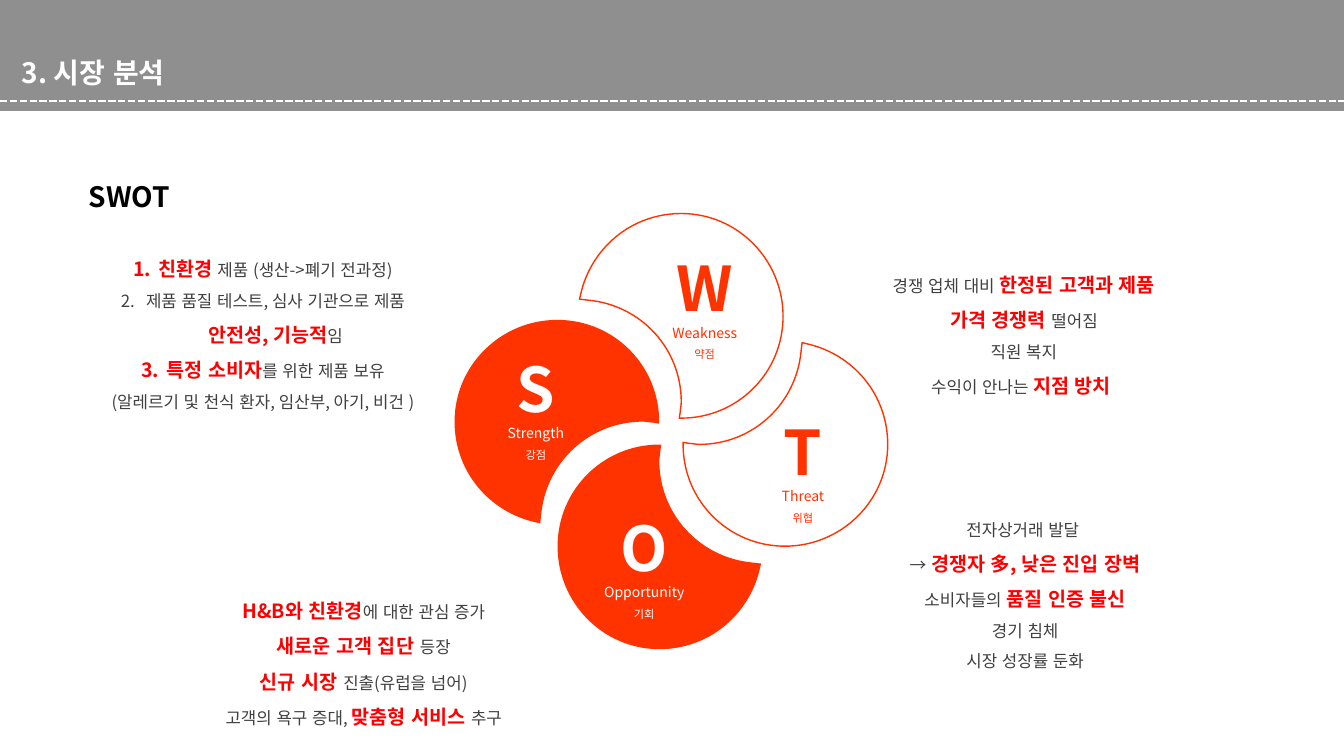
from lxml import etree
from pptx import Presentation
from pptx.dml.color import RGBColor
from pptx.enum.dml import MSO_LINE
from pptx.enum.lang import MSO_LANGUAGE_ID
from pptx.enum.shapes import MSO_CONNECTOR, MSO_SHAPE
from pptx.enum.text import MSO_AUTO_SIZE, PP_ALIGN
from pptx.oxml.ns import qn
from pptx.util import Inches, Pt

RECTANGLE = MSO_SHAPE.RECTANGLE
STRAIGHT = MSO_CONNECTOR.STRAIGHT
DASH = MSO_LINE.SQUARE_DOT
GROW = MSO_AUTO_SIZE.SHAPE_TO_FIT_TEXT
CENTER, LEFT = PP_ALIGN.CENTER, PP_ALIGN.LEFT
KOREAN = MSO_LANGUAGE_ID.KOREAN

FONT = "Noto Sans CJK KR"
WHITE, BLACK, GRAY = "FFFFFF", "000000", "8F8F8F"
ORANGE, RED, DARK = "FF3300", "FF0000", "404040"
COLUMNS, ROWS = 16, 9
CELL = Inches(7.5) / ROWS
LABEL_SIZE = (1.58, 1.27)
PETAL_UNIT = Inches(0.01)
PETAL_SIZE = (203, 202)
PETAL_START = (102, 0)
PETAL_STEPS = [
    [(158, 0), (203, 45), (203, 101)],
    [(203, 103)],
    [(197, 102)],
    [(194, 102), (190, 101), (187, 101)],
    [(134, 101), (91, 141), (86, 193)],
    [(85, 202)],
    [(81, 201)],
    [(35, 191), (0, 151), (0, 101)],
    [(0, 45), (46, 0), PETAL_START],
]

QUADRANTS = [
    dict(center=(7.85, 6.51), turn=270, filled=True, label_shift=(-0.18, -0.5),
         label=("O", "Opportunity", "기회"), notes_box=(2.14, 6.93, 4.38, 1.76),
         notes=["*H&B와 친환경*에 대한 관심 증가", "*새로운 고객 집단 *등장",
                "*신규 시장 *진출(유럽을 넘어)", "고객의 욕구 증대, *맞춤형 서비스 *추구"]),
    dict(center=(6.63, 5.02), turn=0, filled=True, label_shift=(-0.25, -0.9),
         label=("S", "Strength", "강점"), notes_box=(1.06, 2.86, 4.14, 2.08), numbered=3,
         notes=["*친환경* 제품 (생산->폐기 전과정)",
                "제품 품질 테스트, 심사 기관으로 제품 *안전성, 기능적*임",
                "*특정 소비자*를 위한 제품 보유",
                "(알레르기 및 천식 환자, 임산부, 아기, 비건 )"]),
    dict(center=(8.11, 3.76), turn=90, filled=False, label_shift=(0.28, -0.84),
         label=("W", "Weakness", "약점"), notes_box=(9.85, 3.05, 4.68, 1.7),
         notes=["경쟁 업체 대비 *한정된 고객과 제품*", "*가격 경쟁력 *떨어짐",
                "직원 복지", "수익이 안나는 *지점 방치 *"]),
    dict(center=(9.35, 5.29), turn=180, filled=False, label_shift=(0.21, -0.42),
         label=("T", "Threat", "위협"), notes_box=(10.28, 6.01, 3.85, 2.38),
         notes=["전자상거래 발달 ", "→ *경쟁자 多, 낮은 진입 장벽*",
                "소비자들의 *품질 인증 불신*", "경기 침체", "시장 성장률 둔화"]),
]


def emu(cells):
    return round(cells * CELL)


def paint(color_format, color):
    color_format.rgb = RGBColor.from_string(color)


def fill_with(target, color):
    target.fill.solid()
    paint(target.fill.fore_color, color)


def add_run(paragraph, text, size, color, bold=False):
    run = paragraph.add_run()
    run.text = text
    run.font.size, run.font.bold, run.font.name = Pt(size), bold, FONT
    run.font.language_id = KOREAN
    paint(run.font.color, color)
    etree.SubElement(run.font._element, qn("a:ea")).set("typeface", FONT)


def text_frame(slide, box):
    frame = slide.shapes.add_textbox(*map(emu, box)).text_frame
    frame.word_wrap = True
    frame.auto_size = GROW
    return frame


def next_paragraph(frame, index, align, spacing=None):
    paragraph = frame.add_paragraph() if index else frame.paragraphs[0]
    paragraph.alignment = align
    if spacing:
        paragraph.line_spacing = spacing
    return paragraph


def number(paragraph):
    properties = paragraph._p.get_or_add_pPr()
    properties.set("marL", str(Inches(0.25)))
    properties.set("indent", str(-Inches(0.25)))
    etree.SubElement(properties, qn("a:buFont")).set("typeface", "+mj-lt")
    etree.SubElement(properties, qn("a:buAutoNum")).set("type", "arabicPeriod")


def add_heading(slide, box, text, color):
    paragraph = next_paragraph(text_frame(slide, box), 0, LEFT, 1.5)
    add_run(paragraph, text, 20, color, True)


def add_header(slide, box, title):
    left, top, width, height = box
    band = slide.shapes.add_shape(RECTANGLE, *map(emu, box))
    band.shadow.inherit = False
    fill_with(band, GRAY)
    band.line.fill.background()
    rule_y = top + height * 10 / 11
    rule = slide.shapes.add_connector(
        STRAIGHT, *map(emu, (left, rule_y, left + width, rule_y)))
    paint(rule.line.color, WHITE)
    rule.line.width = Pt(1.75)
    rule.line.dash_style = DASH
    etree.SubElement(rule._element.spPr, qn("a:effectLst"))
    add_heading(slide, (left + 0.14, top + 0.4, 7.86, 0.66), title, WHITE)


def bend(petal):
    outline = petal._element.spPr.find(".//" + qn("a:path"))
    for segment in outline.findall(qn("a:lnTo")):
        outline.remove(segment)
    closing = outline.find(qn("a:close"))
    for step in PETAL_STEPS:
        segment = etree.Element(qn("a:cubicBezTo" if len(step) == 3 else "a:lnTo"))
        for x, y in step:
            point = etree.SubElement(segment, qn("a:pt"))
            point.set("x", str(x))
            point.set("y", str(y))
        closing.addprevious(segment)


def add_petal(slide, center, turn, filled):
    builder = slide.shapes.build_freeform(*PETAL_START, scale=PETAL_UNIT)
    builder.add_line_segments([step[-1] for step in PETAL_STEPS], close=True)
    origin = [emu(middle) - size * PETAL_UNIT // 2
              for middle, size in zip(center, PETAL_SIZE)]
    petal = builder.convert_to_shape(*origin)
    bend(petal)
    petal.shadow.inherit = False
    petal.rotation = turn
    if filled:
        fill_with(petal, ORANGE)
        petal.line.fill.background()
    else:
        petal.fill.background()
        paint(petal.line.color, ORANGE)
        petal.line.width = Pt(1)


def add_label(slide, box, words, color):
    frame = text_frame(slide, box)
    for index, (word, size) in enumerate(zip(words, (44, 10, 8))):
        paragraph = next_paragraph(frame, index, CENTER, 1.5 if index == 2 else None)
        add_run(paragraph, word, size, color, index == 0)


def add_notes(slide, box, notes, numbered):
    frame = text_frame(slide, box)
    for index, note in enumerate(notes):
        paragraph = next_paragraph(frame, index, CENTER, 1.5)
        if index < numbered:
            number(paragraph)
        for part, text in enumerate(note.split("*")):
            if text:
                style = (14, RED, True) if part % 2 else (12, DARK)
                add_run(paragraph, text, *style)


def add_quadrant(slide, center, turn, filled, label_shift, label,
                 notes_box, notes, numbered=0):
    add_petal(slide, center, turn, filled)
    label_left = center[0] + label_shift[0] - LABEL_SIZE[0] / 2
    label_top = center[1] + label_shift[1]
    add_label(slide, (label_left, label_top, *LABEL_SIZE), label,
              WHITE if filled else ORANGE)
    add_notes(slide, notes_box, notes, numbered)


def main():
    deck = Presentation()
    deck.slide_width, deck.slide_height = emu(COLUMNS), emu(ROWS)
    slide = deck.slides.add_slide(deck.slide_layouts[6])
    add_header(slide, (0, 0, COLUMNS, 1.32), "3. 시장 분석")
    add_heading(slide, (0.94, 1.88, 7.86, 0.66), "SWOT", BLACK)
    for quadrant in QUADRANTS:
        add_quadrant(slide, **quadrant)
    deck.save("out.pptx")


if __name__ == "__main__":
    main()
